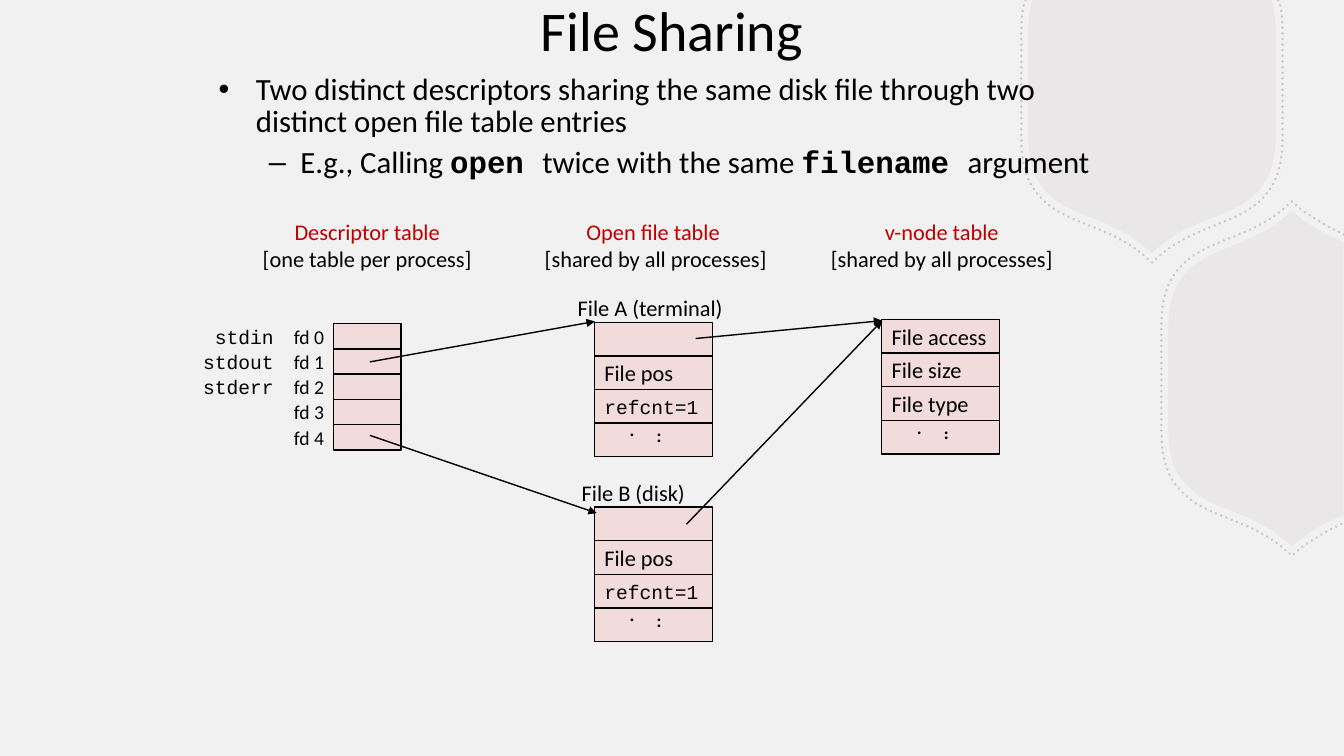
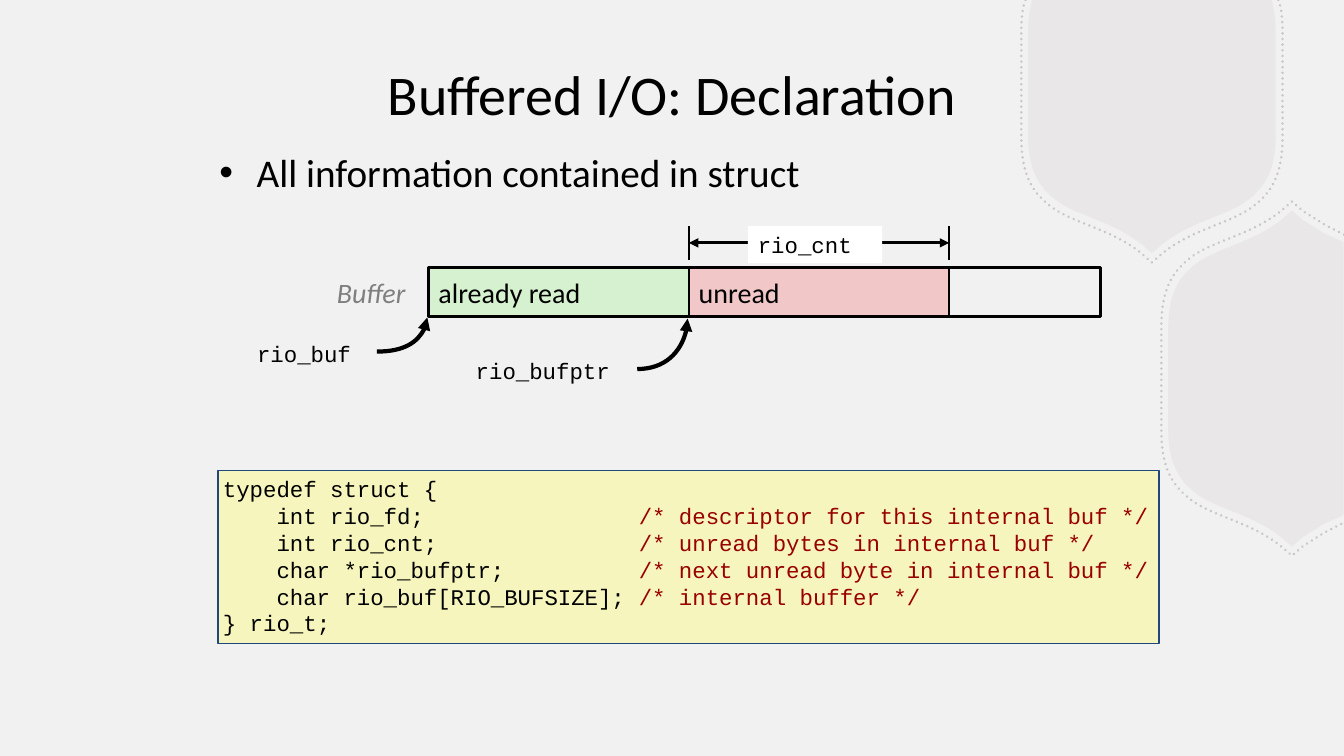
from lxml.etree import SubElement
from pptx import Presentation
from pptx.dml.color import RGBColor
from pptx.enum.dml import MSO_LINE
from pptx.enum.shapes import MSO_CONNECTOR as CONN, MSO_SHAPE as SHAPE
from pptx.enum.text import MSO_ANCHOR as ANCHOR, PP_ALIGN as ALIGN
from pptx.oxml.ns import qn
from pptx.util import Cm, Pt

SANS, MONO = "Calibri", "Courier New"
BLACK, RED, CELL, HAZE = "000000", "C00000", "F2DCDB", "B8B2B2"
COMMENT = "990000"
WIDTH, HEIGHT = 33.87, 19.05
rgb = RGBColor.from_string


def curved_outline(slide, points, kinds, closed):
    corners = [(Cm(x), Cm(y)) for x, y in points]
    builder = slide.shapes.build_freeform(*corners[0])
    builder.add_line_segments(corners[1:], close=closed)
    shape = builder.convert_to_shape()
    shape.shadow.inherit = False
    steps = iter(list(shape.element.iter(qn("a:lnTo"))))
    for kind in kinds:
        segment = next(steps)
        if kind == "C":
            segment.tag = qn("a:cubicBezTo")
            for follower in (next(steps), next(steps)):
                segment.getparent().remove(follower)
                segment.append(follower[0])
    return shape


def box(slide, left, top, width, height, paragraphs=(), fill=None, line=None,
        weight=1, align=ALIGN.LEFT, wrap=False):
    place = Cm(left), Cm(top), Cm(width), Cm(height)
    if fill or line:
        shape = slide.shapes.add_shape(SHAPE.RECTANGLE, *place)
        shape.shadow.inherit = False
        if fill:
            shape.fill.solid()
            shape.fill.fore_color.rgb = rgb(fill)
        else:
            shape.fill.background()
        if line:
            shape.line.color.rgb = rgb(line)
            shape.line.width = Pt(weight)
        else:
            shape.line.fill.background()
    else:
        shape = slide.shapes.add_textbox(*place)
    frame = shape.text_frame
    frame.word_wrap = wrap
    frame.vertical_anchor = ANCHOR.MIDDLE
    for number, runs in enumerate(paragraphs):
        paragraph = frame.add_paragraph() if number else frame.paragraphs[0]
        paragraph.alignment = align
        for text, font, size, color in runs:
            run = paragraph.add_run()
            run.text = text
            run.font.name = font
            run.font.size = Pt(size)
            run.font.color.rgb = rgb(color)
    return shape


prs = Presentation()
prs.slide_width, prs.slide_height = Cm(WIDTH), Cm(HEIGHT)
layout = prs.slide_layouts[5]
layout.background.fill.solid()
layout.background.fill.fore_color.rgb = rgb("F2F1F1")

sharing_points = [
    ("•", 0.94, -0.94, 0.85, 7, [
        ("Two distinct descriptors sharing the same disk file through two "
         "distinct open file table entries", SANS, 22, BLACK)]),
    ("–", 2.06, -0.79, 0.9, 6, [
        ("E.g., Calling ", SANS, 22, BLACK),
        ("open ", MONO, 22, BLACK),
        ("twice with the same ", SANS, 22, BLACK),
        ("filename ", MONO, 22, BLACK),
        ("argument", SANS, 22, BLACK)]),
]
buffer_points = [
    ("•", 0.94, -0.94, 1.0, 7, [
        ("All information contained in struct", SANS, 28, BLACK)]),
]
for heading, title_top, body_left, body_top, body_height, points in [
    ("File Sharing", -0.86, 5.26, 1.78, 3.73, sharing_points),
    ("Buffered I/O: Declaration", 0.76, 5.28, 3.61, 1.68, buffer_points),
]:
    slide = prs.slides.add_slide(layout)
    title = slide.shapes.title
    title.left, title.top = Cm(5.5), Cm(title_top)
    title.width, title.height = Cm(22.86), Cm(3.18)
    title.text_frame.vertical_anchor = ANCHOR.MIDDLE
    title.text_frame.paragraphs[0].alignment = ALIGN.CENTER
    run = title.text_frame.paragraphs[0].add_run()
    run.text = heading
    run.font.name = SANS
    run.font.size = Pt(40)
    run.font.color.rgb = rgb(BLACK)

    body = box(slide, body_left, body_top, 23.1, body_height,
               [point[-1] for point in points], wrap=True)
    body.text_frame.vertical_anchor = ANCHOR.TOP
    for level, paragraph in enumerate(body.text_frame.paragraphs):
        mark, margin, indent, spacing, before, runs = points[level]
        paragraph.level = level
        paragraph.line_spacing = spacing
        paragraph.space_before = Pt(before)
        properties = paragraph._p.get_or_add_pPr()
        properties.set("marL", str(Cm(margin)))
        properties.set("indent", str(Cm(indent)))
        SubElement(properties, qn("a:buFont"), typeface="Arial")
        SubElement(properties, qn("a:buChar"), char=mark)
        for run in paragraph.runs:
            run.font.bold = run.font.name == MONO

sharing, buffering = prs.slides

quarter = [(3.12, 1.23), (3.12, 2.13), (2.87, 2.59), (2.31, 2.97),
           (1.73, 3.33), (0.97, 3.45), (0.28, 3.99), (0, 4.23)]
right_half = [(3.02, -2.15), (3.1, -1.85), (3.12, -1.57), (3.12, -1.23)] + quarter
top_half = [(1.3, -3.44), (0.79, -3.67), (0.63, -3.77), (0.46, -3.88), (0.28, -3.99)]
top_half += [(-x, -y) for x, y in reversed(quarter)] + [(-3.12, 0)]

for center_x, center_y, half, kinds, flip_x, flip_y in [
    (29.03, 2.15, right_half, "CLCCL", -1, 1),
    (32.56, 9.54, top_half, "LCLLCCL", 1, -1),
]:
    mirrored = [(x * flip_x, y * flip_y) for x, y in reversed(half)]
    for scale, opacity in [(1, 15), (1.055, 65)]:
        edge = [(min(center_x + x * scale, WIDTH), max(center_y + y * scale, 0))
                for x, y in half + mirrored[1:]]
        solid = scale == 1
        badge = curved_outline(sharing, edge, kinds + kinds[::-1], solid)
        if solid:
            badge.fill.solid()
            badge.fill.fore_color.rgb = rgb(HAZE)
            badge.line.fill.background()
        else:
            badge.fill.background()
            badge.line.color.rgb = rgb(HAZE)
            badge.line.width = Pt(2)
            badge.line.dash_style = MSO_LINE.ROUND_DOT
            badge.element.spPr.find(qn("a:ln")).set("cap", "rnd")
        for tint in badge.element.spPr.iter(qn("a:srgbClr")):
            SubElement(tint, qn("a:alpha"), val=str(opacity * 1000))
        tree = layout.shapes.element
        badge.element.nvSpPr.cNvPr.set("id", str(100 + len(tree)))
        tree.append(badge.element)

for left, name, scope in [
    (6.17, "Descriptor table", "[one table per process]"),
    (13.44, "Open file table ", "[shared by all processes]"),
    (20.65, "v-node table", "[shared by all processes]"),
]:
    box(sharing, left, 5.37, 6.17, 1.63,
        [[(name, SANS, 16, RED)], [(scope, SANS, 16, BLACK)]], align=ALIGN.CENTER)

for number, stream in enumerate(["stdin", "stdout", "stderr", "", ""]):
    top = 8.16 + number * 0.635
    box(sharing, 8.41, top, 1.7, 0.64, fill=CELL, line=BLACK)
    box(sharing, 6.72, top, 1.7, 0.64,
        [[(f"fd {number}", SANS, 14, BLACK)]], align=ALIGN.RIGHT)
    if stream:
        box(sharing, 4.86, top, 2.29, 0.64,
            [[(stream, MONO, 14, BLACK)]], align=ALIGN.RIGHT)

open_file = ["", "File pos", "refcnt=1", "..."]
v_node = ["File access", "File size", "File type", "..."]
for left, top, fields in [
    (14.98, 8.12, open_file), (14.98, 12.78, open_file), (22.22, 8.05, v_node),
]:
    for row, field in enumerate(fields):
        font, size = (MONO, 14) if "=" in field else (SANS, 16)
        cell = box(sharing, left, top + row * 0.847, 2.97, 0.85,
                   [[(field, font, size, BLACK)]] if field else (), CELL, BLACK,
                   wrap=field == "...")
        if field == "...":
            cell.text_frame._txBody.bodyPr.set("vert", "eaVert")

for left, top, width, caption in [
    (14.31, 7.27, 4.19, "File A (terminal)"), (14.41, 11.94, 3.12, "File B (disk)"),
]:
    box(sharing, left, top, width, 0.94, [[(caption, SANS, 16, BLACK)]])

strokes = []
for ends in [
    (9.32, 9.12, 14.99, 8.1), (9.32, 10.97, 15.04, 12.93),
    (17.53, 8.53, 22.23, 8.08), (17.3, 13.21, 22.23, 8.08),
]:
    pointer = sharing.shapes.add_connector(CONN.STRAIGHT, *map(Cm, ends))
    strokes.append((pointer, 1, ["tail"]))

buffer_left, buffer_top, part = 10.8, 6.75, 6.56
unread_left, unread_right = buffer_left + part, buffer_left + 2 * part
for left, state, fill in [
    (unread_left, "unread", "F1C7C7"), (buffer_left, "already read", "D5F1CF"),
]:
    box(buffering, left, buffer_top, part, 1.22,
        [[(state, SANS, 20, BLACK)]], fill, BLACK, 1.5)
box(buffering, buffer_left, buffer_top, 16.94, 1.22, line=BLACK, weight=2.25)
buffer_label = box(buffering, 8.24, 6.81, 2.26, 1.12,
                   [[("Buffer", SANS, 20, "7F7F7F")]])
buffer_label.text_frame.paragraphs[0].runs[0].font.italic = True

for left, top, width, field, start_x, start_y, rise in [
    (6.23, 8.43, 2.9, "rio_buf", 9.5, 8.86, 0.86),
    (11.74, 8.86, 4.45, "rio_bufptr", 16.06, 9.3, 1.27),
]:
    box(buffering, left, top, width, 0.94, [[(field, MONO, 16, BLACK)]], wrap=True)
    arc = [(start_x + 1.27 * across, start_y - rise * up)
           for across, up in [(0, 0), (0.55, 0), (1, 0.45), (1, 1)]]
    pointer = curved_outline(buffering, arc, "C", False)
    pointer.fill.background()
    strokes.append((pointer, 3, ["tail"]))

for ends, weight, heads in [
    ((unread_left, 6.55, unread_left, 5.69), 1.5, []),
    ((unread_right, 6.55, unread_right, 5.69), 1.5, []),
    ((unread_left, 6.12, unread_right, 6.12), 2.25, ["head", "tail"]),
]:
    ruler = buffering.shapes.add_connector(CONN.STRAIGHT, *map(Cm, ends))
    strokes.append((ruler, weight, heads))
box(buffering, 18.85, 5.69, 3.38, 0.94,
    [[("rio_cnt", MONO, 16, BLACK)]], "FFFFFF", wrap=True)

for stroke, weight, heads in strokes:
    stroke.line.color.rgb = rgb(BLACK)
    stroke.line.width = Pt(weight)
    properties = stroke.element.spPr
    for head in heads:
        SubElement(properties.find(qn("a:ln")), qn(f"a:{head}End"), type="triangle")
    if properties.find(qn("a:effectLst")) is None:
        SubElement(properties, qn("a:effectLst"))

members = [
    ("int rio_fd;", "/* descriptor for this internal buf */"),
    ("int rio_cnt;", "/* unread bytes in internal buf */"),
    ("char *rio_bufptr;", "/* next unread byte in internal buf */"),
    ("char rio_buf[RIO_BUFSIZE];", "/* internal buffer */"),
]
struct_lines = [[("typedef struct {", MONO, 16, BLACK)]]
struct_lines += [[(f"\t{member}\t", MONO, 16, BLACK), (remark, MONO, 16, COMMENT)]
                 for member, remark in members]
struct_lines += [[("} rio_t;", MONO, 16, BLACK)]]
struct = box(buffering, 5.49, 11.85, 23.72, 4.37, struct_lines,
             "F6F5BD", "1F497D", wrap=True)
struct.text_frame.vertical_anchor = ANCHOR.TOP
struct.text_frame.margin_left = struct.text_frame.margin_right = Cm(0.13)
for paragraph in struct.text_frame.paragraphs:
    stops = SubElement(paragraph._p.get_or_add_pPr(), qn("a:tabLst"))
    for stop in (1.35, 10.48):
        SubElement(stops, qn("a:tab"), pos=str(Cm(stop)), algn="l")

prs.save("out.pptx")
